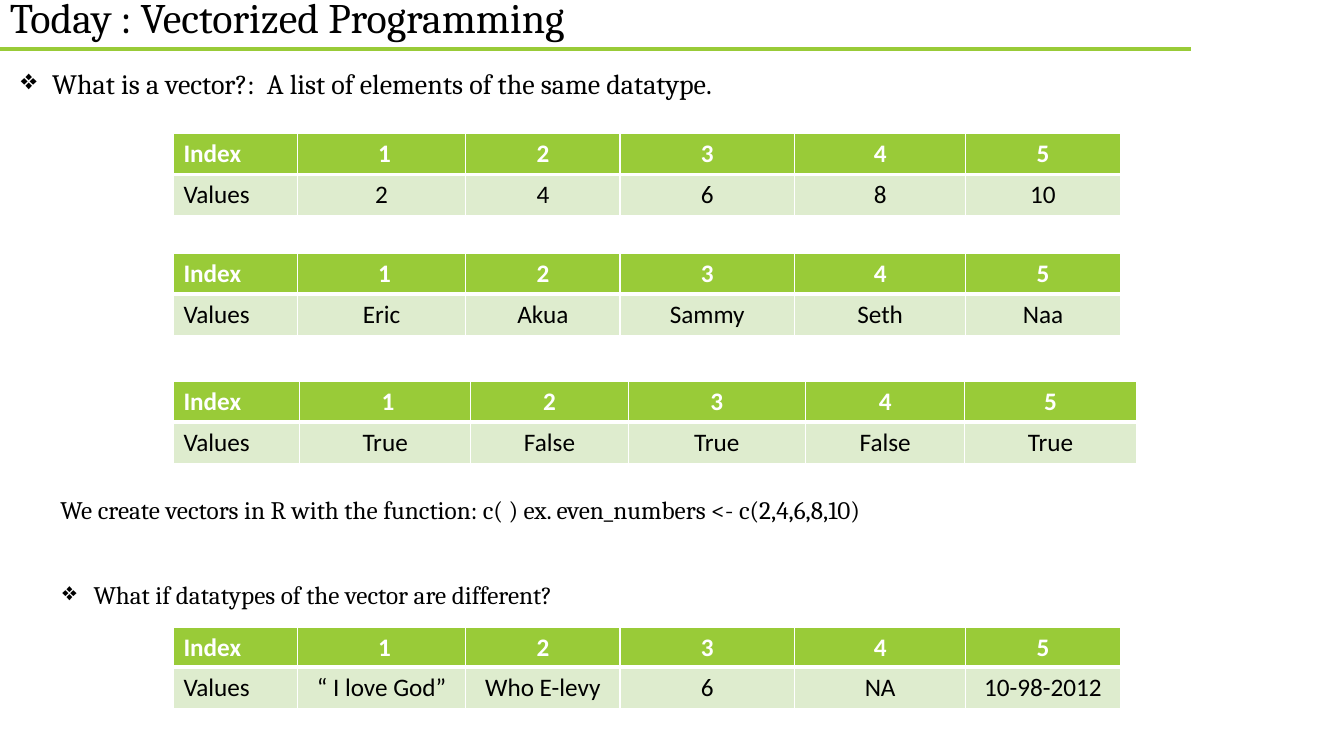
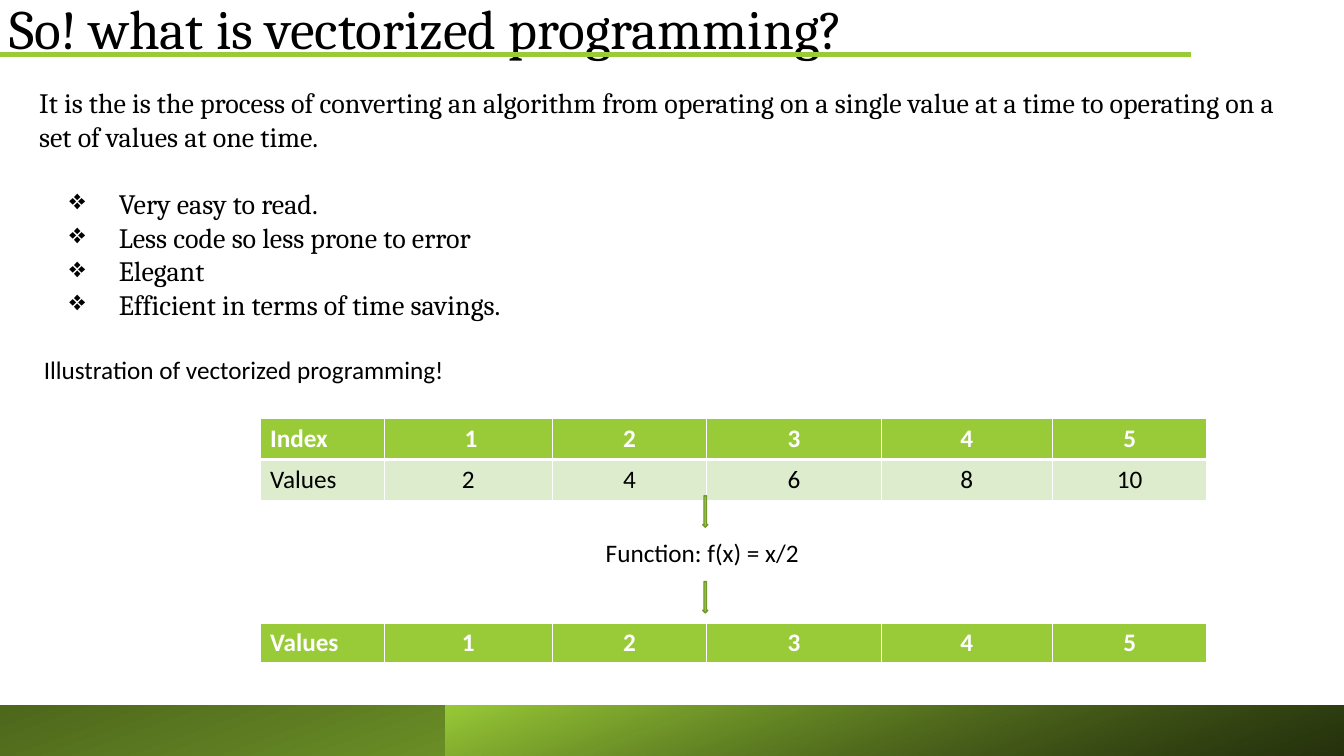
import pptx
import pptx.util
import pptx.dml.color
import pptx.enum.text
import pptx.enum.shapes
import pptx.oxml.ns
import lxml.etree

Inches = pptx.util.Inches
Pt = pptx.util.Pt
RGBColor = pptx.dml.color.RGBColor
Align = pptx.enum.text.PP_ALIGN
Shape = pptx.enum.shapes.MSO_SHAPE
qn = pptx.oxml.ns.qn

GREEN = RGBColor(0x99, 0xCB, 0x38)
DARK = RGBColor(0x4D, 0x67, 0x1B)
EDGE = RGBColor(0x71, 0x96, 0x29)
PALE = RGBColor(0xDE, 0xEC, 0xCE)
WHITE = RGBColor(0xFF, 0xFF, 0xFF)
BLACK = RGBColor(0, 0, 0)
SERIF = "Cambria"
SANS = "Calibri"
COLS = (1.23, 1.67, 1.53, 1.73, 1.7, 1.53)
WIDE = (1.25, 1.7, 1.56, 1.76, 1.58, 1.7)
INDEX = ("Index", " 1", "2", "3", "4", "5")
EVENS = ("Values", "2", "4", "6", "8", "10")


def node(parent, tag, **attrs):
    child = lxml.etree.SubElement(parent, qn(tag))
    for key, value in attrs.items():
        child.set(key, str(value))
    return child


def write(frame, text, size=18, face=SERIF, color=BLACK, bold=False,
          align=None, space=None, after=None, indent=None, hang=0.31):
    para = frame.paragraphs[0]
    if para.runs:
        para = frame.add_paragraph()
    para.alignment = align
    para.line_spacing = space
    if after is not None:
        para.space_after = Pt(after)
    if indent is not None:
        props = para._p.get_or_add_pPr()
        props.set("marL", str(Inches(indent)))
        props.set("indent", str(-Inches(hang)))
        node(props, "a:buChar", char="❖")
    run = para.add_run()
    run.text = text
    run.font.size = Pt(size)
    run.font.name = face
    run.font.bold = bold
    run.font.color.rgb = color


class Deck:
    def __init__(self):
        self.file = pptx.Presentation()
        self.file.slide_width = Inches(13.33)
        self.file.slide_height = Inches(7.5)
        self.slide = None

    def page(self):
        self.slide = self.file.slides.add_slide(self.file.slide_layouts[6])

    def box(self, left, top, width, height):
        frame = self.slide.shapes.add_textbox(
            Inches(left), Inches(top), Inches(width), Inches(height)).text_frame
        frame.word_wrap = True
        return frame

    def label(self, left, top, width, text, height=0.4, **style):
        write(self.box(left, top, width, height), text, **style)

    def title(self, text, top, width, size, space):
        frame = self.box(0, top, width, 0.63)
        frame.vertical_anchor = pptx.enum.text.MSO_ANCHOR.MIDDLE
        write(frame, text, size=size, space=space)

    def rule(self, top):
        line = self.slide.shapes.add_connector(
            pptx.enum.shapes.MSO_CONNECTOR.STRAIGHT,
            Inches(0), Inches(top), Inches(11.81), Inches(top))
        line.line.color.rgb = GREEN
        line.line.width = Pt(3)
        node(line._element.spPr, "a:effectLst")

    def shape(self, kind, left, top, width, height):
        shape = self.slide.shapes.add_shape(
            kind, Inches(left), Inches(top), Inches(width), Inches(height))
        shape.shadow.inherit = False
        return shape

    def band(self, left, width, first, last, alpha=100):
        band = self.shape(Shape.RECTANGLE, left, 7, width, 0.5)
        band.line.fill.background()
        band.fill.gradient()
        band.fill.gradient_angle = 110
        for stop, color in zip(band.fill.gradient_stops, (first, last)):
            stop.color.rgb = color
        if alpha < 100:
            start = band._element.spPr.xpath(".//a:gs/a:srgbClr")[0]
            node(start, "a:alpha", val=alpha * 1000)

    def arrow(self, top):
        arrow = self.shape(Shape.DOWN_ARROW, 6.97, top, 0.05, 0.31)
        arrow.fill.solid()
        arrow.fill.fore_color.rgb = GREEN
        arrow.line.color.rgb = EDGE
        arrow.line.width = Pt(1)

    def cell(self, cell, text, head, align):
        write(cell.text_frame, text, face=SANS, bold=head, align=align,
              color=WHITE if head else BLACK)
        props = cell._tc.get_or_add_tcPr()
        thick = "a:lnB" if head else "a:lnT"
        for tag in ("a:lnL", "a:lnR", "a:lnT", "a:lnB"):
            line = node(props, tag, w=Pt(3 if tag == thick else 1))
            node(node(line, "a:solidFill"), "a:srgbClr", val=WHITE)
        cell.fill.solid()
        cell.fill.fore_color.rgb = GREEN if head else PALE

    def table(self, left, top, *rows, cols=COLS, first=0.41):
        table = self.slide.shapes.add_table(
            len(rows), len(cols), Inches(left), Inches(top),
            Inches(sum(cols)), Inches(first + 0.41 * (len(rows) - 1))).table
        table.horz_banding = False
        for col, width in zip(table.columns, cols):
            col.width = Inches(width)
        for r, row in enumerate(rows):
            table.rows[r].height = Inches(0.41 if r else first)
            for c, text in enumerate(row):
                self.cell(table.cell(r, c), text, r == 0,
                          Align.CENTER if c else Align.LEFT)


deck = Deck()

deck.page()
deck.title("Today : Vectorized Programming", -0.12, 9.35, 30, 0.9)
deck.rule(0.49)
deck.label(0.11, 0.61, 9.7, "What is a vector?:  A list of elements of the same datatype.",
           height=0.44, size=20, indent=0.31)
deck.table(1.72, 1.32, INDEX, EVENS)
deck.table(1.72, 2.51, INDEX, ("Values", "Eric", "Akua", "Sammy", "Seth", "Naa"))
deck.table(1.72, 3.78, INDEX, ("Values", "True", "False", "True", "False", "True"),
           cols=WIDE)
deck.table(1.72, 6.22, INDEX,
           ("Values", "“ I love God”", "Who E-levy", "6", "NA", "10-98-2012"),
           first=0.34)
deck.label(0.52, 5.7, 6.74, "What if datatypes of the vector are different?", indent=0.31)
deck.label(0.5, 4.85, 8.99,
           "We create vectors in R with the function: c( ) ex. even_numbers <- c(2,4,6,8,10)")

deck.page()
deck.band(0, 13.33, GREEN, DARK)
deck.band(4.42, 8.92, BLACK, GREEN, alpha=76)
deck.title("So! what is vectorized programming?", 0.04, 9.82, 39.6, 0.7)
deck.rule(0.54)
body = deck.box(0.29, 0.8, 12.76, 2.46)
write(body, "It is the is the process of converting an algorithm from operating on a "
      "single value at a time to operating on a set of values at one time. ",
      size=20, after=24)
for point in ("Very easy to read.", "Less code so less prone to error",
              "Elegant", "Efficient in terms of time savings."):
    write(body, point, size=20, indent=0.79, hang=0.49)
deck.table(2.58, 4.15, INDEX, EVENS)
deck.label(0.28, 3.47, 6.79, " Illustration of vectorized programming! ", face=SANS)
deck.table(2.58, 6.18, ("Values", "1", "2", "3", "4", "5"))
deck.label(5.91, 5.28, 2.34, "Function: f(x) = x/2", face=SANS)
for top in (4.92, 5.77):
    deck.arrow(top)

deck.file.save("out.pptx")
